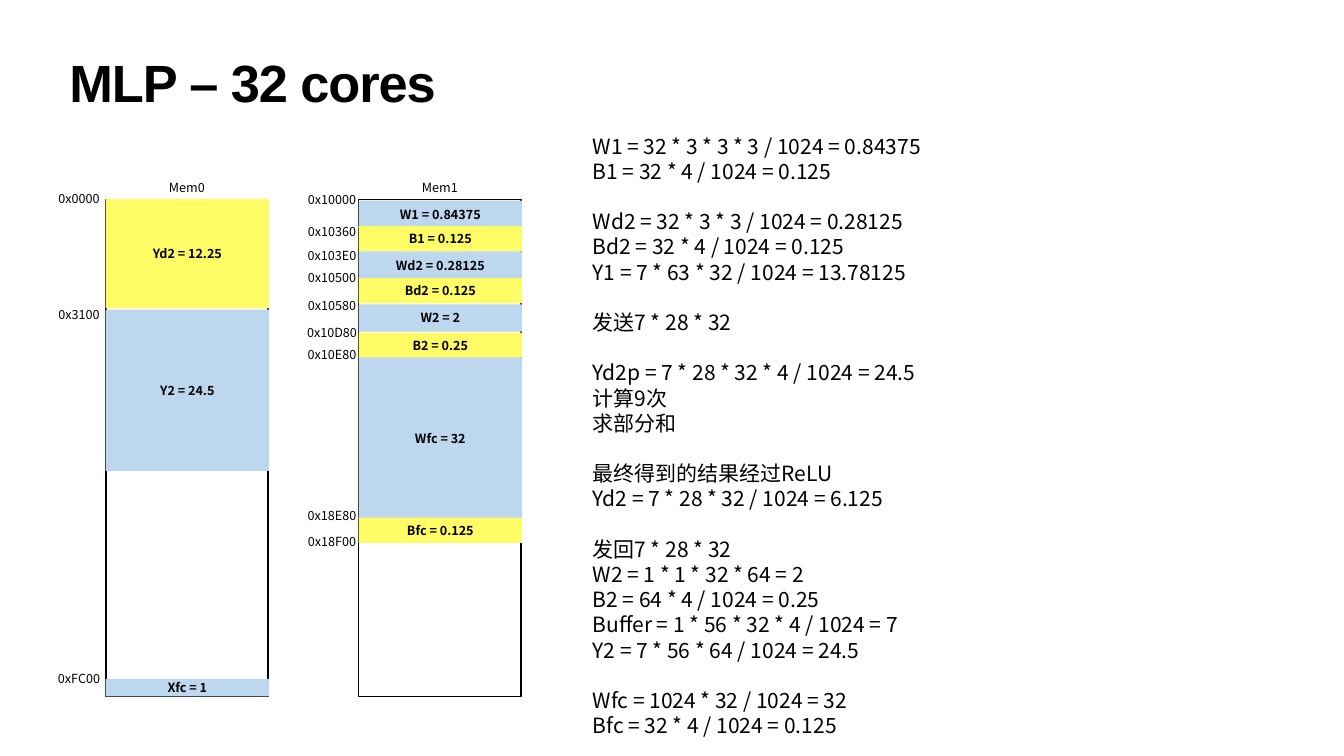
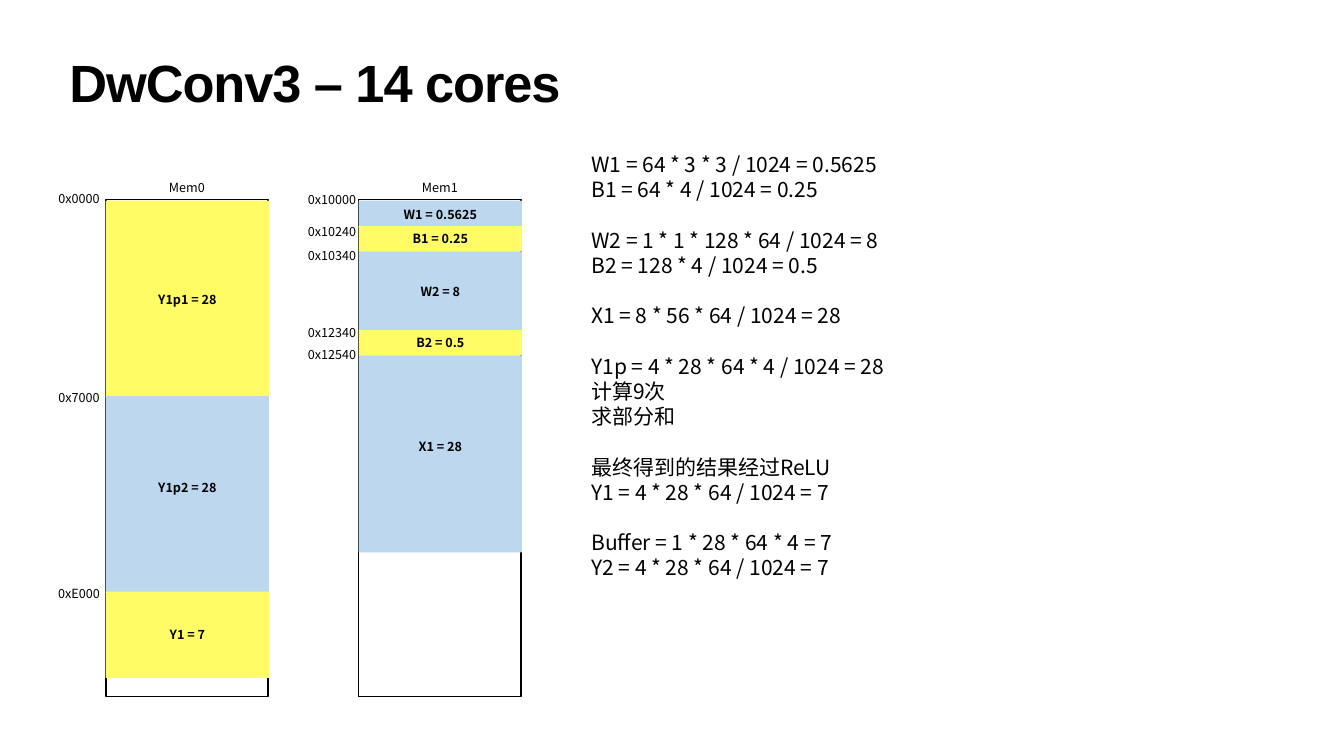
"""Build two slides of core memory maps with their size sums."""
import pptx
import pptx.dml.color
import pptx.enum.shapes
import pptx.enum.text
import pptx.oxml.ns
import pptx.util
import lxml.etree

Cm, Pt = pptx.util.Cm, pptx.util.Pt
ALIGN = pptx.enum.text.PP_ALIGN
ANCHOR = pptx.enum.text.MSO_ANCHOR
RECT = pptx.enum.shapes.MSO_SHAPE.RECTANGLE
qn = pptx.oxml.ns.qn

BLACK, BLUE, YELLOW = "000000", "BDD7EE", "FFFC66"
SANS = "Noto Sans CJK SC"
HEAD = {"name": "Arial", "size": Pt(74.8), "bold": True}
LIST = {"name": SANS, "size": Pt(30), "bold": False}
LABEL = {"name": SANS, "size": Pt(18), "bold": False}
STRONG = {**LABEL, "bold": True}
LEFT = {"Mem0": 5.33, "Mem1": 18.08}
TOP, WIDE, HIGH = 10.06, 8.18, 25.04
TAG_WIDE, TAG_HIGH, TAG_SHIFT = 2.79, 1.02, 2.74
LEAD = 1.2


def hue(code):
    return pptx.dml.color.RGBColor.from_string(code)


def put(target, values):
    for key, value in values.items():
        setattr(target, key, value)


class Deck:
    def __init__(self):
        self.show = pptx.Presentation()
        put(self.show, {"slide_width": Cm(67.74), "slide_height": Cm(38.1)})
        self.slide = None

    def start(self):
        self.slide = self.show.slides.add_slide(self.show.slide_layouts[1])

    def place(self, shape, x, y, w, h):
        put(shape, {"left": Cm(x), "top": Cm(y), "width": Cm(w), "height": Cm(h)})

    def frame(self, shape, anchor=ANCHOR.TOP, inset=0.13, foot=None):
        box = shape.text_frame
        sides = ("margin_left", "margin_top", "margin_right", "margin_bottom")
        put(box, {side: Cm(inset) for side in sides})
        put(box, {"word_wrap": True, "vertical_anchor": anchor,
                  "auto_size": pptx.enum.text.MSO_AUTO_SIZE.NONE})
        if foot:
            box.margin_bottom = Cm(foot)
        return box

    def text(self, para, words, font, align=ALIGN.LEFT, gap=0, lead=None):
        put(para, {"alignment": align, "space_before": Pt(gap),
                   "line_spacing": lead or Pt(font["size"].pt * LEAD)})
        run = para.add_run()
        run.text = words
        put(run.font, font)
        run.font.color.rgb = hue(BLACK)
        props = run._r.get_or_add_rPr()
        lxml.etree.SubElement(props, qn("a:ea"), typeface=font["name"])
        return props

    def title(self, words):
        shape = self.slide.shapes.title
        self.place(shape, 3.35, 3, 61.04, 3.99)
        box = self.frame(shape, inset=0.15)
        self.text(box.paragraphs[0], words, HEAD, lead=0.8).set("spc", "-150")

    def sums(self, x, y, h, groups):
        shape = self.slide.placeholders[1]
        self.place(shape, x, y, 33.78, h)
        box = self.frame(shape)
        para = box.paragraphs[0]
        for g, group in enumerate(groups):
            for n, line in enumerate(group):
                if g or n:
                    para = box.add_paragraph()
                props = para._p.get_or_add_pPr()
                props.set("marL", "0")
                props.set("indent", "0")
                lxml.etree.SubElement(props, qn("a:buNone"))
                gap = LIST["size"].pt * LEAD if g and not n else 0
                self.text(para, line, LIST, gap=gap)

    def label(self, x, y, words):
        shape = self.slide.shapes.add_textbox(Cm(x), Cm(y), Cm(TAG_WIDE), Cm(TAG_HIGH))
        self.text(self.frame(shape).paragraphs[0], words, LABEL, ALIGN.CENTER)

    def rect(self, x, y, w, h, fill=None):
        shape = self.slide.shapes.add_shape(RECT, Cm(x), Cm(y), Cm(w), Cm(h))
        shape.shadow.inherit = False
        if fill:
            shape.fill.solid()
            shape.fill.fore_color.rgb = hue(fill)
            shape.line.fill.background()
        else:
            shape.fill.background()
            shape.line.color.rgb = hue(BLACK)
            shape.line.width = Pt(2.25)
        return shape

    def block(self, x, y, h, words, fill, foot=None):
        shape = self.rect(x, y, WIDE + 0.05, h, fill)
        box = self.frame(shape, ANCHOR.MIDDLE, 0 if h < 1 else 0.13, foot)
        self.text(box.paragraphs[0], words, STRONG, ALIGN.CENTER)

    def bank(self, name, blocks, tags):
        x = LEFT[name]
        self.rect(x, TOP, WIDE, HIGH)
        self.label(x + (WIDE - TAG_WIDE) / 2, 8.96, name)
        for block in blocks:
            self.block(x, *block)
        for y, words in tags:
            self.label(x - TAG_SHIFT, y, words)


SLIDES = [
    {
        "title": "MLP – 32 cores",
        "banks": {
            "Mem1": (
                [(10.11, 1.37, "W1 = 0.84375", BLUE),
                 (11.4, 1.27, "B1 = 0.125", YELLOW),
                 (12.67, 1.37, "Wd2 = 0.28125", BLUE),
                 (14.02, 1.27, "Bd2 = 0.125", YELLOW),
                 (15.34, 1.37, "W2 = 2", BLUE),
                 (16.76, 1.27, "B2 = 0.25", YELLOW),
                 (18.01, 8.13, "Wfc = 32", BLUE),
                 (26.09, 1.27, "Bfc = 0.125", YELLOW)],
                [(9.53, "0x10000"), (11.15, "0x10360"), (12.34, "0x103E0"),
                 (13.49, "0x10500"), (14.86, "0x10580"), (16.23, "0x10D80"),
                 (17.35, "0x10E80"), (25.48, "0x18E80"), (26.77, "0x18F00")]),
            "Mem0": (
                [(10.03, 5.51, "Yd2 = 12.25", YELLOW),
                 (15.6, 8.13, "Y2 = 24.5", BLUE),
                 (34.21, 0.89, "Xfc = 1", BLUE)],
                [(9.5, "0x0000"), (15.34, "0x3100"), (33.68, "0xFC00")]),
        },
        "sums": (29.74, 6.58, 31.04, [
            ["W1 = 32 * 3 * 3 * 3 / 1024 = 0.84375", "B1 = 32 * 4 / 1024 = 0.125"],
            ["Wd2 = 32 * 3 * 3 / 1024 = 0.28125", "Bd2 = 32 * 4 / 1024 = 0.125",
             "Y1 = 7 * 63 * 32 / 1024 = 13.78125"],
            ["发送7 * 28 * 32"],
            ["Yd2p = 7 * 28 * 32 * 4 / 1024 = 24.5", "计算9次", "求部分和"],
            ["最终得到的结果经过ReLU", "Yd2 = 7 * 28 * 32 / 1024 = 6.125"],
            ["发回7 * 28 * 32", "W2 = 1 * 1 * 32 * 64 = 2",
             "B2 = 64 * 4 / 1024 = 0.25", "Buffer = 1 * 56 * 32 * 4 / 1024 = 7",
             "Y2 = 7 * 56 * 64 / 1024 = 24.5"],
            ["Wfc = 1024 * 32 / 1024 = 32", "Bfc = 32 * 4 / 1024 = 0.125"],
        ]),
    },
    {
        "title": "DwConv3 – 14 cores",
        "banks": {
            "Mem1": (
                [(10.11, 1.37, "W1 = 0.5625", BLUE),
                 (11.4, 1.27, "B1 = 0.25", YELLOW),
                 (12.67, 3.99, "W2 = 8", BLUE),
                 (16.64, 1.27, "B2 = 0.5", YELLOW),
                 (17.91, 9.93, "X1 = 28", BLUE, 0.89)],
                [(9.53, "0x10000"), (11.15, "0x10240"), (12.34, "0x10340"),
                 (16.23, "0x12340"), (17.35, "0x12540")]),
            "Mem0": (
                [(10.11, 9.93, "Y1p1 = 28", YELLOW),
                 (19.96, 9.93, "Y1p2 = 28", BLUE, 0.89),
                 (29.82, 4.34, "Y1 = 7", YELLOW)],
                [(9.5, "0x0000"), (19.51, "0x7000"), (29.41, "0xE000")]),
        },
        "sums": (29.67, 7.52, 22.05, [
            ["W1 = 64 * 3 * 3 / 1024 = 0.5625", "B1 = 64 * 4 / 1024 = 0.25"],
            ["W2 = 1 * 1 * 128 * 64 / 1024 = 8", "B2 = 128 * 4 / 1024 = 0.5"],
            ["X1 = 8 * 56 * 64 / 1024 = 28"],
            ["Y1p = 4 * 28 * 64 * 4 / 1024 = 28", "计算9次", "求部分和"],
            ["最终得到的结果经过ReLU", "Y1 = 4 * 28 * 64 / 1024 = 7"],
            ["Buffer = 1 * 28 * 64 * 4 = 7", "Y2 = 4 * 28 * 64 / 1024 = 7"],
        ]),
    },
]


def main():
    deck = Deck()
    for page in SLIDES:
        deck.start()
        deck.title(page["title"])
        for name, (blocks, tags) in page["banks"].items():
            deck.bank(name, blocks, tags)
        deck.sums(*page["sums"])
    deck.show.save("out.pptx")


if __name__ == "__main__":
    main()
